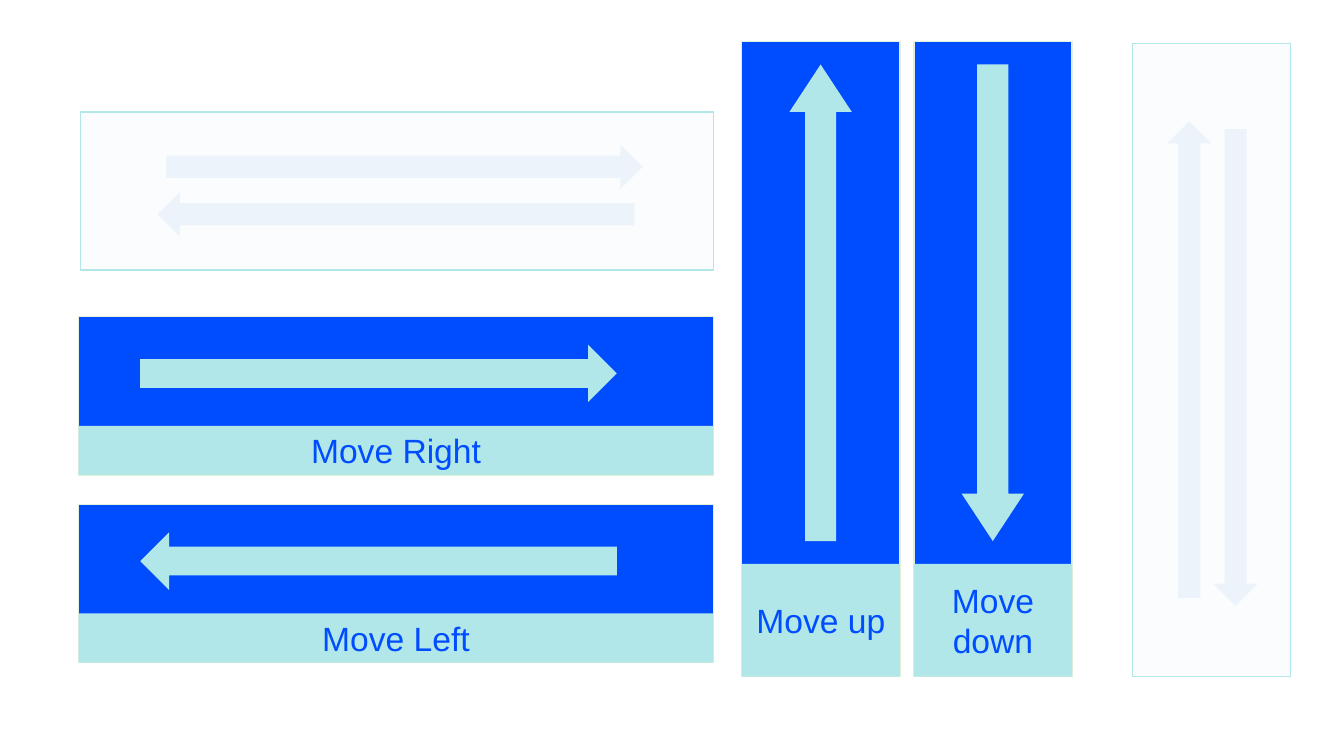
"""Build a slide of four movement panels and two pale two-way panels."""
from dataclasses import dataclass

from lxml import etree
from pptx import Presentation
from pptx.dml.color import RGBColor
from pptx.enum.shapes import MSO_SHAPE
from pptx.enum.text import MSO_ANCHOR, PP_ALIGN
from pptx.oxml.ns import qn
from pptx.shapes.autoshape import Shape
from pptx.shapes.group import GroupShape
from pptx.util import Cm, Pt

RECTANGLE = MSO_SHAPE.RECTANGLE
DOWN_ARROW = MSO_SHAPE.DOWN_ARROW
MIDDLE = MSO_ANCHOR.MIDDLE
CENTER = PP_ALIGN.CENTER

DOWN, LEFT, UP, RIGHT = 0, 90, 180, 270
ARROW_LENGTH = 12.01
LONG, PALE_LONG, SHORT = 16, 15.95, 3.99


@dataclass(frozen=True)
class Theme:
    blue: str = "004DFF"
    aqua: str = "B1E7E9"
    pale: str = "DEEBF7"
    edge: str = "E2F0D9"
    font: str = "Arial"
    label_size: int = 24
    line_width: int = 1


@dataclass(frozen=True)
class Box:
    left: float
    top: float
    width: float
    height: float


@dataclass(frozen=True)
class Arrow:
    center_x: float
    center_y: float
    thickness: float
    direction: int
    head: float = 0.5


@dataclass(frozen=True)
class Panel:
    box: Box
    arrows: tuple[Arrow, ...]
    label: str = ""
    label_height: float = 0


THEME = Theme()

PANELS = (
    Panel(Box(2.03, 2.82, PALE_LONG, SHORT),
          (Arrow(10.19, 4.2, 1.12, RIGHT), Arrow(9.98, 5.4, 1.12, LEFT))),
    Panel(Box(1.98, 7.98, LONG, SHORT),
          (Arrow(9.54, 9.41, 1.45, RIGHT),), "Move Right", 1.24),
    Panel(Box(1.98, 12.71, LONG, SHORT),
          (Arrow(9.54, 14.14, 1.45, LEFT),), "Move Left", 1.24),
    Panel(Box(18.69, 1.05, SHORT, LONG),
          (Arrow(20.68, 7.63, 1.57, UP, 0.76),), "Move up", 2.84),
    Panel(Box(23.03, 1.05, SHORT, LONG),
          (Arrow(25.02, 7.63, 1.57, DOWN, 0.76),), "Move down", 2.84),
    Panel(Box(28.54, 1.1, SHORT, PALE_LONG),
          (Arrow(31.14, 9.26, 1.12, DOWN), Arrow(29.97, 9.06, 1.12, UP))),
)


def add_block(group: GroupShape, kind: MSO_SHAPE, box: Box, fill: str,
              opacity: int = 100, line: str = "") -> Shape:
    """Add a flat filled shape, with an outline when a line colour is given."""
    shape = group.shapes.add_shape(
        kind, Cm(box.left), Cm(box.top), Cm(box.width), Cm(box.height))
    shape.shadow.inherit = False
    shape.fill.solid()
    shape.fill.fore_color.rgb = RGBColor.from_string(fill)
    if opacity < 100:
        color = shape.fill._xPr.find(qn("a:solidFill"))[0]
        etree.SubElement(color, qn("a:alpha"), val=str(opacity * 1000))
    if line:
        shape.line.color.rgb = RGBColor.from_string(line)
        shape.line.width = Pt(THEME.line_width)
    else:
        shape.line.fill.background()
    return shape


def write_text(shape: Shape, text: str, *, size: int, color: str,
               font: str) -> None:
    """Write one centred paragraph in a shape."""
    frame = shape.text_frame
    frame.word_wrap = True
    frame.vertical_anchor = MIDDLE
    para = frame.paragraphs[0]
    para.alignment = CENTER
    span = para.add_run()
    span.text = text
    span.font.size = Pt(size)
    span.font.name = font
    span.font.color.rgb = RGBColor.from_string(color)


def add_arrow(group: GroupShape, arrow: Arrow, fill: str,
              opacity: int) -> None:
    """Add a block arrow turned about its centre."""
    box = Box(arrow.center_x - arrow.thickness / 2,
              arrow.center_y - ARROW_LENGTH / 2,
              arrow.thickness, ARROW_LENGTH)
    shape = add_block(group, DOWN_ARROW, box, fill, opacity)
    shape.rotation = arrow.direction
    shape.adjustments[1] = arrow.head


def add_panel(group: GroupShape, panel: Panel) -> None:
    """Draw a strong panel when it has a label, and a pale one otherwise."""
    box = panel.box
    if panel.label:
        add_block(group, RECTANGLE, box, THEME.blue, line=THEME.edge)
    else:
        add_block(group, RECTANGLE, box, THEME.pale, 10, THEME.aqua)
    for arrow in panel.arrows:
        if panel.label:
            add_arrow(group, arrow, THEME.aqua, 100)
        else:
            add_arrow(group, arrow, THEME.pale, 50)
    if panel.label:
        top = box.top + box.height - panel.label_height
        strip = Box(box.left, top, box.width, panel.label_height)
        shape = add_block(group, RECTANGLE, strip, THEME.aqua)
        write_text(shape, panel.label, size=THEME.label_size,
                   color=THEME.blue, font=THEME.font)


def main() -> None:
    """Create the deck and save it."""
    deck = Presentation()
    deck.slide_width, deck.slide_height = Cm(33.87), Cm(19.05)
    page = deck.slides.add_slide(deck.slide_layouts[6])
    for panel in PANELS:
        add_panel(page.shapes.add_group_shape(), panel)
    deck.save("out.pptx")


if __name__ == "__main__":
    main()
